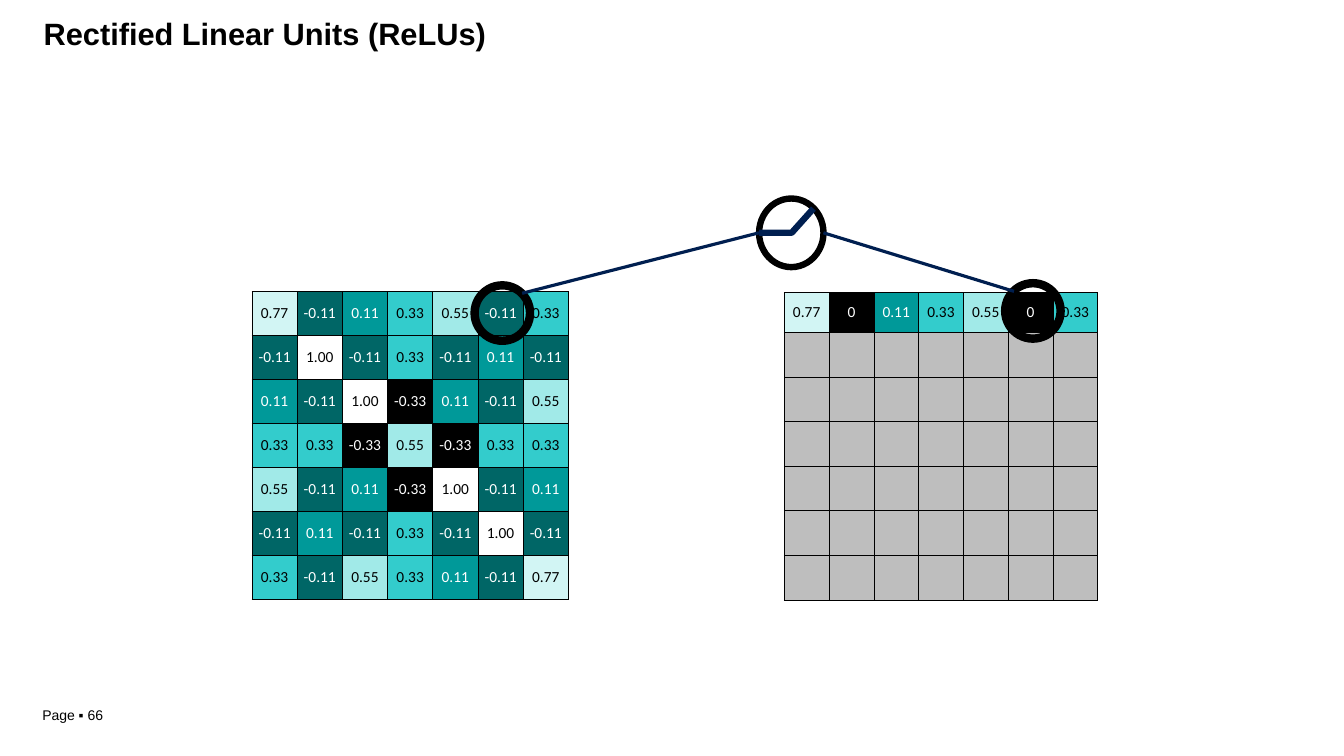
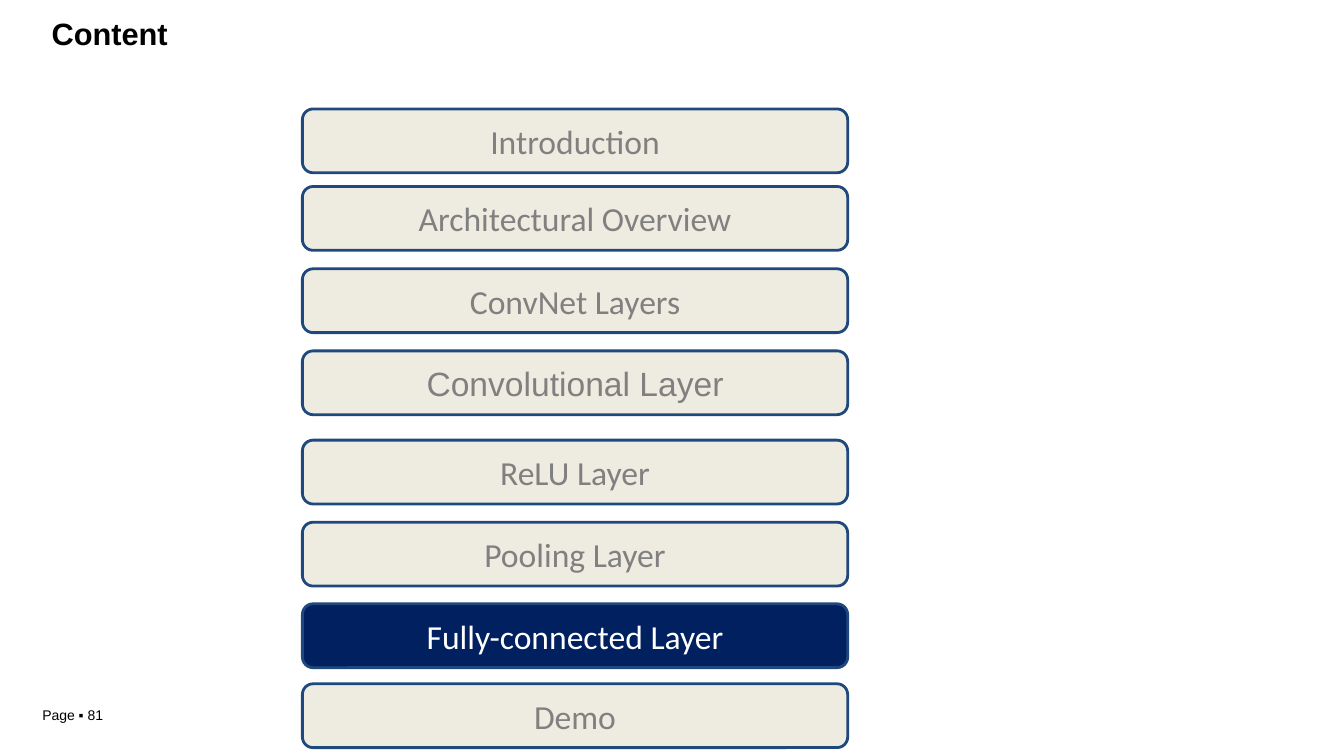
from dataclasses import dataclass

from lxml import etree
from pptx import Presentation
from pptx.dml.color import RGBColor
from pptx.enum.shapes import MSO_CONNECTOR, MSO_SHAPE
from pptx.enum.text import MSO_ANCHOR, PP_ALIGN
from pptx.oxml.ns import qn
from pptx.util import Pt

CENTER, LEFT = PP_ALIGN.CENTER, PP_ALIGN.LEFT
MIDDLE = MSO_ANCHOR.MIDDLE
OVAL, ROUNDED = MSO_SHAPE.OVAL, MSO_SHAPE.ROUNDED_RECTANGLE
STRAIGHT = MSO_CONNECTOR.STRAIGHT


@dataclass(frozen=True)
class Theme:
    black: str = "000000"
    white: str = "FFFFFF"
    navy: str = "001F50"
    empty_cell: str = "BEBEBE"
    item_fill: str = "EEECE1"
    item_line: str = "1F497D"
    item_text: str = "808080"
    active_fill: str = "002060"
    heading_font: str = "Arial"
    body_font: str = "Calibri"
    title_size: float = 22
    footer_size: float = 10
    cell_size: float = 11
    item_size: float = 24
    grid_line: float = 0.5
    link_line: float = 2.28
    unit_line: float = 4.56
    ring_line: float = 6


T = Theme()

# Cell value -> (fill, text colour)
SHADES = {
    "1.00": (T.white, T.black),
    "0.77": ("D2F5F4", T.black),
    "0.55": ("A1EAE8", T.black),
    "0.33": ("33CCCC", T.black),
    "0.11": ("009999", T.white),
    "-0.11": ("006666", T.white),
    "-0.33": (T.black, T.white),
    "0": (T.black, T.white),
    "": (T.empty_cell, T.black),
}


@dataclass(frozen=True)
class Grid:
    left: float
    top: float
    col_width: float
    row_heights: list[float]
    rows: list[list[str]]


@dataclass(frozen=True)
class Ring:
    left: float
    top: float
    width: float
    height: float
    weight: float


@dataclass(frozen=True)
class Link:
    x1: float
    y1: float
    x2: float
    y2: float


@dataclass(frozen=True)
class Item:
    top: float
    text: str
    font: str = T.body_font
    active: bool = False


FEATURES = [row.split() for row in (
    "0.77 -0.11 0.11 0.33 0.55 -0.11 0.33",
    "-0.11 1.00 -0.11 0.33 -0.11 0.11 -0.11",
    "0.11 -0.11 1.00 -0.33 0.11 -0.11 0.55",
    "0.33 0.33 -0.33 0.55 -0.33 0.33 0.33",
    "0.55 -0.11 0.11 -0.33 1.00 -0.11 0.11",
    "-0.11 0.11 -0.11 0.33 -0.11 1.00 -0.11",
    "0.33 -0.11 0.55 0.33 0.11 -0.11 0.77",
)]
RECTIFIED = ["0" if v.startswith("-") else v for v in FEATURES[0]]
SIZE = len(FEATURES)

GRIDS = [
    Grid(560.2, 208.8, 32, [28.5] + [31.9] * (SIZE - 1),
         [RECTIFIED] + [[""] * SIZE] * (SIZE - 1)),
    Grid(180, 208.2, 32.3, [31.43] * SIZE, FEATURES),
]
RINGS = [
    Ring(542.2, 141.8, 46, 49, T.unit_line),
    Ring(339, 203.8, 39.6, 39.6, T.ring_line),
    Ring(718, 202.3, 39.6, 39.6, T.ring_line),
]
LINKS = [Link(373, 209.5, 542.2, 166.3), Link(588.2, 166.3, 724.3, 208.1)]
RELU_CURVE = [(542.2, 166.3), (565.5, 166.3), (581, 149)]

ITEM_LEFT, ITEM_WIDTH, ITEM_HEIGHT = 216, 389.5, 45.6
ITEMS = [
    Item(77.8, "Introduction"),
    Item(133.2, "Architectural Overview"),
    Item(192, "ConvNet Layers"),
    Item(250.6, "Convolutional Layer", font=T.heading_font),
    Item(314.4, "ReLU Layer"),
    Item(373, "Pooling Layer"),
    Item(431.3, "Fully-connected Layer", active=True),
    Item(488.4, "Demo"),
]


def set_text(tf, text: str, font: str, size: float, color: str,
             bold: bool = False, align=LEFT) -> None:
    tf.text = text
    p = tf.paragraphs[0]
    p.alignment = align
    for f in [p.font] + [r.font for r in p.runs]:
        f.name, f.size, f.bold = font, Pt(size), bold
        f.color.rgb = RGBColor.from_string(color)


def set_line(line, color: str, weight: float) -> None:
    line.color.rgb = RGBColor.from_string(color)
    line.width = Pt(weight)


def set_fill(fill, color: str) -> None:
    fill.solid()
    fill.fore_color.rgb = RGBColor.from_string(color)


def add_label(s, left: float, top: float, width: float, height: float,
              text: str, size: float, bold: bool = False) -> None:
    tf = s.shapes.add_textbox(Pt(left), Pt(top), Pt(width), Pt(height)).text_frame
    tf.word_wrap = True
    tf.margin_left = tf.margin_top = tf.margin_right = tf.margin_bottom = 0
    set_text(tf, text, T.heading_font, size, T.black, bold)


def add_slide(prs, title: str, title_left: float, title_top: float, page: int):
    s = prs.slides.add_slide(prs.slide_layouts[6])
    add_label(s, title_left, title_top, 420, 27, title, T.title_size, bold=True)
    add_label(s, 30.2, 504.8, 60, 13, f"Page ▪ {page}", T.footer_size)
    return s


def add_borders(cell) -> None:
    tc_pr = cell._tc.get_or_add_tcPr()
    for side in ("a:lnL", "a:lnR", "a:lnT", "a:lnB"):
        ln = etree.SubElement(tc_pr, qn(side), w=str(Pt(T.grid_line)))
        fill = etree.SubElement(ln, qn("a:solidFill"))
        etree.SubElement(fill, qn("a:srgbClr"), val=T.black)


def add_grid(s, grid: Grid) -> None:
    n_cols = len(grid.rows[0])
    frame = s.shapes.add_table(
        len(grid.rows), n_cols, Pt(grid.left), Pt(grid.top),
        Pt(grid.col_width * n_cols), Pt(sum(grid.row_heights)))
    table = frame.table
    table.first_row = table.horz_banding = False
    for col in table.columns:
        col.width = Pt(grid.col_width)
    for row, height, values in zip(table.rows, grid.row_heights, grid.rows):
        row.height = Pt(height)
        for cell, value in zip(row.cells, values):
            fill, color = SHADES[value]
            add_borders(cell)
            set_fill(cell.fill, fill)
            cell.margin_left = cell.margin_right = 0
            cell.margin_top = cell.margin_bottom = 0
            cell.vertical_anchor = MIDDLE
            set_text(cell.text_frame, value, T.body_font, T.cell_size, color,
                     align=CENTER)


def add_ring(s, ring: Ring) -> None:
    sp = s.shapes.add_shape(OVAL, Pt(ring.left), Pt(ring.top),
                            Pt(ring.width), Pt(ring.height))
    sp.shadow.inherit = False
    sp.fill.background()
    set_line(sp.line, T.black, ring.weight)


def add_link(s, link: Link) -> None:
    cx = s.shapes.add_connector(STRAIGHT, Pt(link.x1), Pt(link.y1),
                                Pt(link.x2), Pt(link.y2))
    set_line(cx.line, T.navy, T.link_line)
    etree.SubElement(cx._element.spPr, qn("a:effectLst"))


def add_curve(s, points: list[tuple[float, float]]) -> None:
    start, *rest = [(Pt(x), Pt(y)) for x, y in points]
    builder = s.shapes.build_freeform(*start)
    builder.add_line_segments(rest, close=False)
    sp = builder.convert_to_shape()
    sp.shadow.inherit = False
    sp.fill.background()
    set_line(sp.line, T.navy, T.unit_line)


def add_item(s, item: Item) -> None:
    sp = s.shapes.add_shape(ROUNDED, Pt(ITEM_LEFT), Pt(item.top),
                            Pt(ITEM_WIDTH), Pt(ITEM_HEIGHT))
    sp.shadow.inherit = False
    set_fill(sp.fill, T.active_fill if item.active else T.item_fill)
    set_line(sp.line, T.item_line, 2)
    sp.text_frame.vertical_anchor = MIDDLE
    set_text(sp.text_frame, item.text, item.font, T.item_size,
             T.white if item.active else T.item_text, align=CENTER)


def main() -> None:
    prs = Presentation()
    prs.slide_width, prs.slide_height = Pt(960), Pt(540)

    # Rectified linear units
    s = add_slide(prs, "Rectified Linear Units (ReLUs)", 31.2, 10.2, 66)
    for grid in GRIDS:
        add_grid(s, grid)
    for ring in RINGS:
        add_ring(s, ring)
    add_curve(s, RELU_CURVE)
    for link in LINKS:
        add_link(s, link)

    # Content overview
    s = add_slide(prs, "Content", 36.9, 10.2, 81)
    for item in ITEMS:
        add_item(s, item)

    prs.save("out.pptx")


if __name__ == "__main__":
    main()
